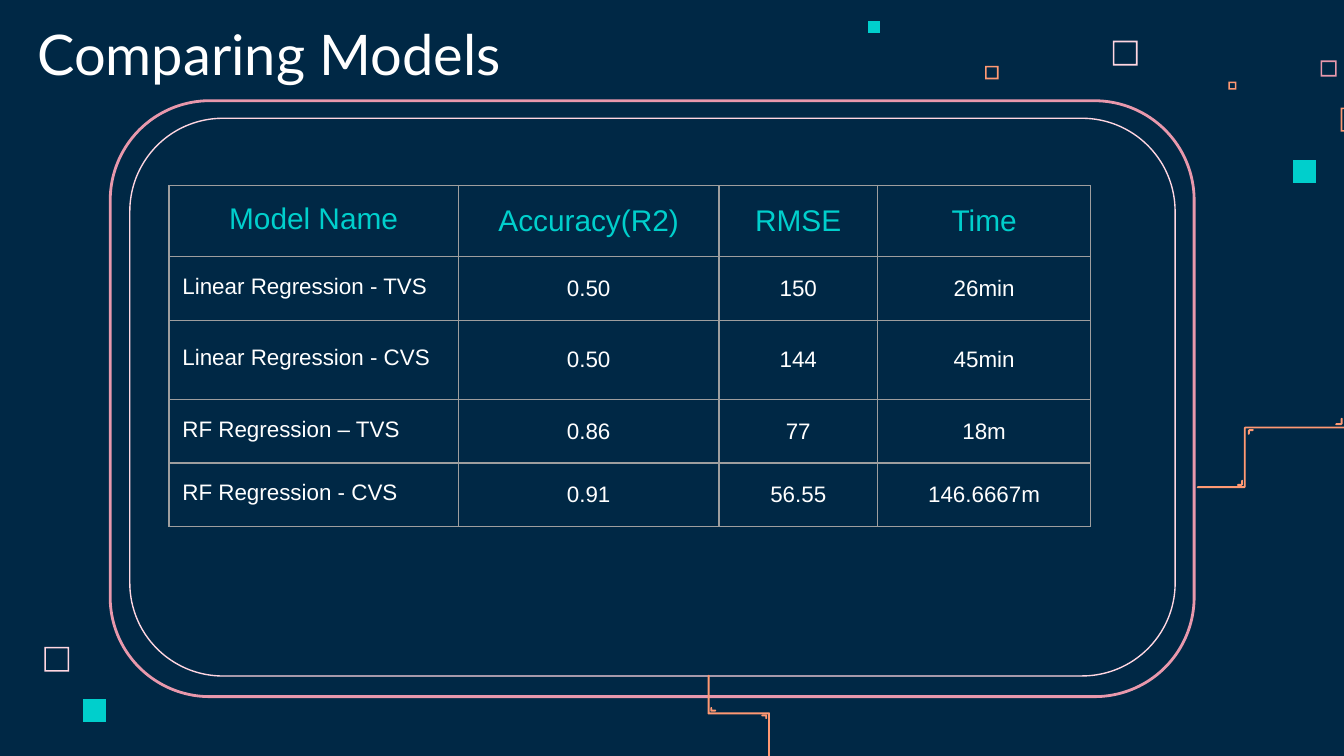
from lxml import etree
from pptx import Presentation
from pptx.dml.color import RGBColor
from pptx.enum.shapes import MSO_SHAPE
from pptx.enum.text import MSO_ANCHOR, PP_ALIGN
from pptx.oxml.ns import qn
from pptx.util import Inches, Pt

ROUNDED = MSO_SHAPE.ROUNDED_RECTANGLE
MIDDLE, BOTTOM = MSO_ANCHOR.MIDDLE, MSO_ANCHOR.BOTTOM
LEFT, CENTER = PP_ALIGN.LEFT, PP_ALIGN.CENTER

NAVY = RGBColor(0x00, 0x28, 0x45)
TEAL = RGBColor(0x00, 0xCF, 0xCC)
ORANGE = RGBColor(0xFF, 0x99, 0x73)
ROSE = RGBColor(0xE8, 0x98, 0xAC)
BLUSH = RGBColor(0xFF, 0xD6, 0xE1)
WHITE = RGBColor(0xFF, 0xFF, 0xFF)
GRAY = RGBColor(0x9E, 0x9E, 0x9E)

SLIDE_WIDTH = Inches(10)
SLIDE_HEIGHT = SLIDE_WIDTH * 9 // 16
GRID_COLUMNS = 1000
GRID = SLIDE_WIDTH // GRID_COLUMNS
FINE_STEPS = 10
MARGIN = 10 * GRID

HOLLOW_SQUARES = [
    (828, 30.3, 18.5, BLUSH), (982.5, 45, 12, ROSE), (914, 60.8, 6, ORANGE),
    (997.5, 80, 18, ORANGE), (733, 49, 10, ORANGE), (33, 481.3, 18.5, BLUSH),
]
SOLID_SQUARES = [(962, 119, 17), (645.5, 15.5, 9), (62, 520, 17)]

BOTTOM_CIRCUIT = [
    [(527, 503), (527, 531), (572, 531), (572, 588)],
    [(567, 532.5), (570, 532.5), (570, 534.5)],
    [(529, 527), (529, 529), (532, 529)],
]
RIGHT_CIRCUIT = [
    [(891, 362.7), (926, 362.7), (926, 318.3), (1000, 318.3)],
    [(994, 315.8), (998, 315.8), (998, 311.8)],
    [(929, 323), (929, 320.3), (932, 320.3)],
    [(921, 361), (924, 361), (924, 358)],
]

COLUMN_WIDTHS = [215.3, 194, 118, 158.7]
ROW_HEIGHTS = [53, 47.3, 59, 47.3, 47.3]
MODEL_RESULTS = [
    ["Model Name", "Accuracy(R2)", "RMSE", "Time"],
    ["Linear Regression - TVS", "0.50", "150", "26min"],
    ["Linear Regression - CVS", "0.50", "144", "45min"],
    ["RF Regression – TVS", "0.86", "77", "18m"],
    ["RF Regression - CVS", "0.91", "56.55", "146.6667m"],
]


def on_grid(*steps):
    return [round(step * GRID) for step in steps]


def add_outline(shapes, contours, color):
    contours = [[(round(x * FINE_STEPS), round(y * FINE_STEPS)) for x, y in contour]
                for contour in contours]
    builder = shapes.build_freeform(*contours[0][0], scale=GRID / FINE_STEPS)
    builder.add_line_segments(contours[0][1:], close=True)
    for contour in contours[1:]:
        builder.move_to(*contour[0])
        builder.add_line_segments(contour[1:], close=True)
    shape = builder.convert_to_shape()
    shape.shadow.inherit = False
    shape.fill.solid()
    shape.fill.fore_color.rgb = color
    shape.line.fill.background()
    return shape


def square_corners(left, top, size):
    right, bottom = left + size, top + size
    return [(left, top), (left, bottom), (right, bottom), (right, top)]


def add_hollow_square(slide, left, top, size, color, edge=1.2):
    hole = square_corners(left + edge, top + edge, size - 2 * edge)
    add_outline(slide.shapes, [square_corners(left, top, size), hole[::-1]], color)


def add_circuit(slide, traces, thickness=0.4):
    group = slide.shapes.add_group_shape()
    for trace in traces:
        way_back = [(x + thickness, y - thickness) for x, y in reversed(trace)]
        shape = add_outline(group.shapes, [trace + way_back], ORANGE)
        shape.line.color.rgb = ORANGE
        shape.line.width = Pt(0.75)


def add_rounded_border(slide, bounds, color, weight):
    shape = slide.shapes.add_shape(ROUNDED, *on_grid(*bounds))
    shape.adjustments[0] = 0.167
    shape.shadow.inherit = False
    shape.fill.background()
    shape.line.color.rgb = color
    shape.line.width = Pt(weight)


def format_text(paragraph, font_name, size, color, alignment):
    paragraph.alignment = alignment
    for run in paragraph.runs:
        run.font.name = font_name
        run.font.size = Pt(size)
        run.font.color.rgb = color


def set_margins(holder):
    holder.margin_left = holder.margin_right = MARGIN
    holder.margin_top = holder.margin_bottom = MARGIN


def add_title(slide, text):
    box = slide.shapes.add_textbox(*on_grid(18, 11.5, 716, 63))
    frame = box.text_frame
    frame.word_wrap = True
    frame.vertical_anchor = BOTTOM
    set_margins(frame)
    frame.text = text
    format_text(frame.paragraphs[0], "Lato", 30, WHITE, LEFT)


def add_cell_borders(cell):
    properties = cell._tc.get_or_add_tcPr()
    for position, side in enumerate(("a:lnL", "a:lnR", "a:lnT", "a:lnB")):
        line = etree.Element(qn(side), w=str(Pt(0.75)))
        fill = etree.SubElement(line, qn("a:solidFill"))
        etree.SubElement(fill, qn("a:srgbClr"), val=str(GRAY))
        properties.insert(position, line)


def fill_cell(cell, text, is_header, is_name):
    cell.fill.background()
    cell.vertical_anchor = MIDDLE
    set_margins(cell)
    add_cell_borders(cell)
    cell.text_frame.text = text
    paragraph = cell.text_frame.paragraphs[0]
    size, color = (16, TEAL) if is_header else (12, WHITE)
    alignment = LEFT if is_name and not is_header else CENTER
    format_text(paragraph, "Arial", size, color, alignment)
    if is_name:
        paragraph.line_spacing = 0.8


def add_results_table(slide):
    bounds = on_grid(125.7, 138, sum(COLUMN_WIDTHS), sum(ROW_HEIGHTS))
    table = slide.shapes.add_table(
        len(ROW_HEIGHTS), len(COLUMN_WIDTHS), *bounds).table
    table.first_row = table.horz_banding = False
    for column, width in zip(table.columns, on_grid(*COLUMN_WIDTHS)):
        column.width = width
    for row, height in zip(table.rows, on_grid(*ROW_HEIGHTS)):
        row.height = height
    for row_index, values in enumerate(MODEL_RESULTS):
        for column_index, value in enumerate(values):
            fill_cell(table.cell(row_index, column_index), value,
                      row_index == 0, column_index == 0)


def main():
    presentation = Presentation()
    presentation.slide_width, presentation.slide_height = SLIDE_WIDTH, SLIDE_HEIGHT
    slide = presentation.slides.add_slide(presentation.slide_layouts[6])
    slide.background.fill.solid()
    slide.background.fill.fore_color.rgb = NAVY

    for left, top, size, color in HOLLOW_SQUARES:
        add_hollow_square(slide, left, top, size, color)
    for square in SOLID_SQUARES:
        add_outline(slide.shapes, [square_corners(*square)], TEAL)
    add_rounded_border(slide, (82, 75, 806.5, 443.4), ROSE, 1.5)
    add_rounded_border(slide, (96.6, 88, 777.8, 415), BLUSH, 0.75)
    add_title(slide, "Comparing Models")
    add_circuit(slide, BOTTOM_CIRCUIT)
    add_results_table(slide)
    add_circuit(slide, RIGHT_CIRCUIT)
    presentation.save("out.pptx")


if __name__ == "__main__":
    main()
